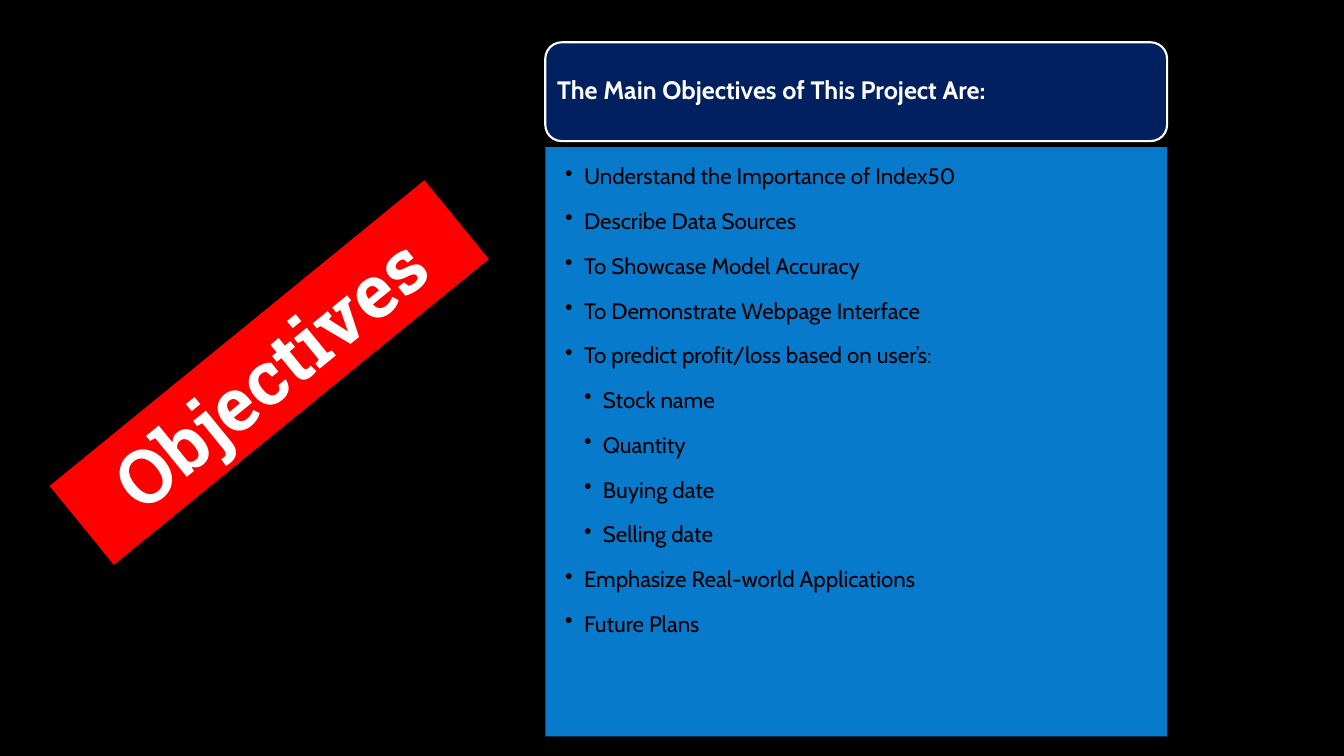
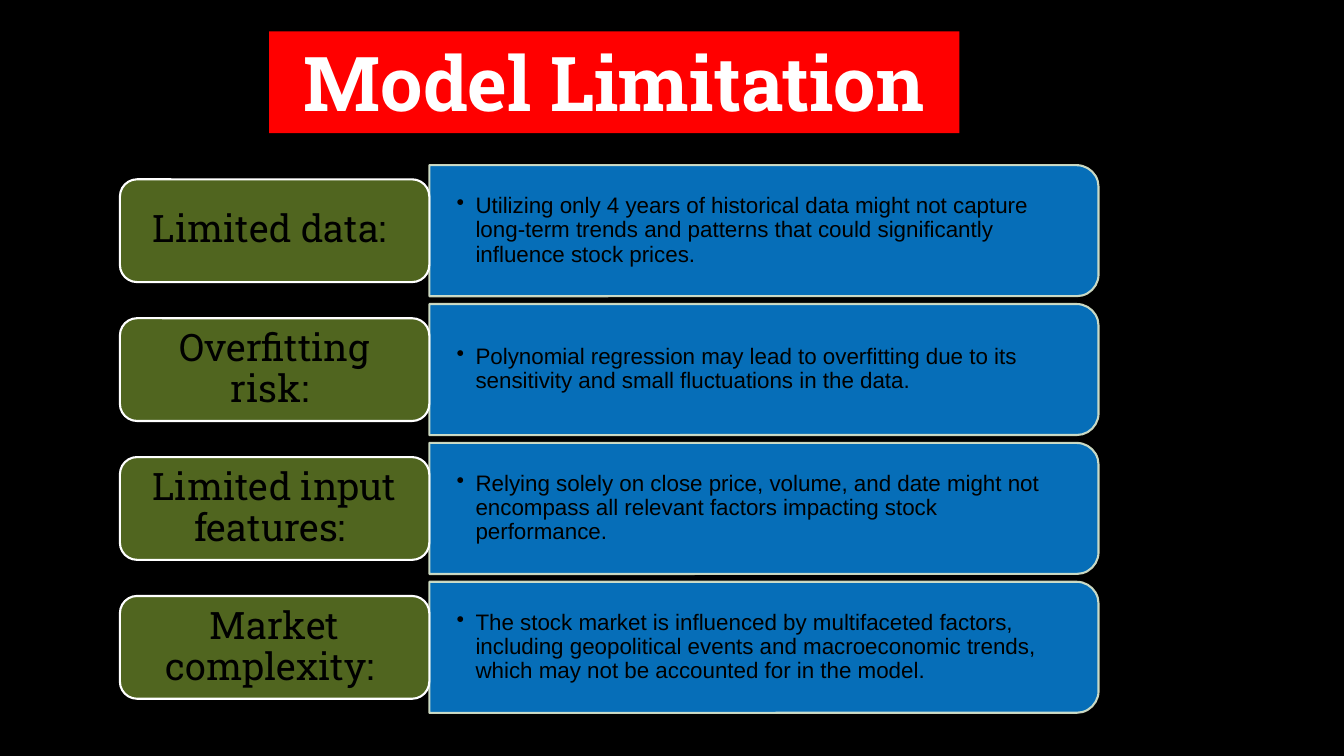
from lxml import etree
from pptx import Presentation
from pptx.dml.color import RGBColor
from pptx.enum.shapes import MSO_SHAPE
from pptx.enum.text import MSO_ANCHOR, MSO_AUTO_SIZE, PP_ALIGN
from pptx.oxml.ns import qn
from pptx.util import Pt

RECT = MSO_SHAPE.RECTANGLE
ROUNDED = MSO_SHAPE.ROUNDED_RECTANGLE
ROUND_TOP = MSO_SHAPE.ROUND_2_SAME_RECTANGLE
TOP, MIDDLE = MSO_ANCHOR.TOP, MSO_ANCHOR.MIDDLE
LEFT, CENTER = PP_ALIGN.LEFT, PP_ALIGN.CENTER
NO_FIT = MSO_AUTO_SIZE.NONE

COLORS = {
    "black": "000000",
    "white": "FFFFFF",
    "red": "FF0000",
    "navy": "002060",
    "blue": "077ACC",
    "olive": "50651F",
    "pale": "DFEACF",
}
TITLE_FONT, LIST_FONT, CARD_FONT = "Roboto Slab", "Cabin", "Arial"
TITLE_HEIGHT = 72.7
BULLET_INDENT = 13.5

OBJECTIVES = [
    (0, "Understand the Importance of Index50"),
    (0, "Describe Data Sources"),
    (0, "To Showcase Model Accuracy"),
    (0, "To Demonstrate Webpage Interface"),
    (0, "To predict profit/loss based on user’s:"),
    (1, "Stock name"),
    (1, "Quantity"),
    (1, "Buying date"),
    (1, "Selling date"),
    (0, "Emphasize Real-world Applications"),
    (0, "Future Plans"),
]
LIMITATIONS = [
    ("Limited data: ",
     "Utilizing only 4 years of historical data might not capture long-term "
     "trends and patterns that could significantly influence stock prices."),
    ("Overfitting risk: ",
     "Polynomial regression may lead to overfitting due to its sensitivity "
     "and small fluctuations in the data."),
    ("Limited input features: ",
     "Relying solely on close price, volume, and date might not encompass all "
     "relevant factors impacting stock performance."),
    ("Market complexity: ",
     "The stock market is influenced by multifaceted factors, including "
     "geopolitical events and macroeconomic trends, which may not be "
     "accounted for in the model."),
]


def rgb(name):
    return RGBColor.from_string(COLORS[name])


def set_frame(tf, anchor, insets):
    """Set wrapping, anchor and the (horizontal, vertical) insets in points."""
    tf.word_wrap = True
    tf.auto_size = NO_FIT
    tf.vertical_anchor = anchor
    tf.margin_left = tf.margin_right = Pt(insets[0])
    tf.margin_top = tf.margin_bottom = Pt(insets[1])


def set_text(p, text, font, size, color, bold=False, align=LEFT, spacing=0.9):
    p.text = text
    p.alignment = align
    p.line_spacing = spacing
    for r in p.runs:
        r.font.name = font
        r.font.size = Pt(size)
        r.font.bold = bold
        r.font.color.rgb = rgb(color)


def add_bullet(p, level):
    p.level = level
    pPr = p._p.get_or_add_pPr()
    pPr.set("marL", str(Pt(BULLET_INDENT * (level + 1))))
    pPr.set("indent", str(-Pt(BULLET_INDENT)))
    etree.SubElement(pPr, qn("a:buChar")).set("char", "•")


def add_box(s, kind, box, fill, line=None):
    sp = s.shapes.add_shape(kind, *map(Pt, box))
    sp.shadow.inherit = False
    sp.fill.solid()
    sp.fill.fore_color.rgb = rgb(fill)
    if line:
        sp.line.color.rgb = rgb(line)
        sp.line.width = Pt(1.5)
    else:
        sp.line.fill.background()
    return sp


def add_titled_slide(prs, title, left, top, width, rotation=0):
    s = prs.slides.add_slide(prs.slide_layouts[5])
    sp = s.shapes.title
    sp.left, sp.top, sp.width, sp.height = map(Pt, (left, top, width, TITLE_HEIGHT))
    sp.rotation = rotation
    sp.fill.solid()
    sp.fill.fore_color.rgb = rgb("red")
    set_frame(sp.text_frame, TOP, (7.2, 3.6))
    set_text(sp.text_frame.paragraphs[0], title, TITLE_FONT, 54, "white",
             bold=True, align=CENTER, spacing=1.0)
    return s


def add_label(s, box, fill, insets, text, *style, **options):
    """Add a white-edged rounded box with one line of styled text."""
    sp = add_box(s, ROUNDED, box, fill, "white")
    set_frame(sp.text_frame, MIDDLE, insets)
    set_text(sp.text_frame.paragraphs[0], text, *style, **options)


def add_objective_list(s, box, items):
    tf = add_box(s, RECT, box, "blue").text_frame
    set_frame(tf, TOP, (14.2, 1.4))
    tf.margin_right = Pt(8.5)
    for i, (level, text) in enumerate(items):
        p = tf.add_paragraph() if i else tf.paragraphs[0]
        add_bullet(p, level)
        set_text(p, text, LIST_FONT, 16, "black", spacing=1.5)
        p.space_after = Pt(3.2)


def add_card(s, left, middle, width, height, text):
    """Add a translucent card, rounded on its right side, with a bullet."""
    turned = (left + (width - height) / 2, middle - width / 2, height, width)
    sp = add_box(s, ROUND_TOP, turned, "blue", "pale")
    sp.rotation = 90
    for color in sp._element.spPr.iter(qn("a:srgbClr")):
        etree.SubElement(color, qn("a:alpha")).set("val", "90000")
    text_box = (left, middle - 42, width - 4.5, 84)
    tf = s.shapes.add_textbox(*map(Pt, text_box)).text_frame
    set_frame(tf, MIDDLE, (19.5, 10))
    p = tf.paragraphs[0]
    add_bullet(p, 0)
    set_text(p, text, CARD_FONT, 16, "black")


def build_objectives(prs):
    s = add_titled_slide(prs, "Objectives", 19.5, 229.7, 345.6, rotation=320.8)
    left, width = 389.5, 444.2
    add_label(s, (left, 30.2, width, 70.6), "navy", (5, 5),
              "The Main Objectives of This Project Are:",
              LIST_FONT, 18, "white", bold=True)
    add_objective_list(s, (left, 105.1, width, 421), OBJECTIVES)


def build_limitations(prs):
    s = add_titled_slide(prs, "Model Limitation", 192.2, 22.4, 493.2)
    label_left, label_width, label_height = 85.7, 221, 73.4
    first_middle, pitch = 164.8, 99.2
    for i, (label, text) in enumerate(LIMITATIONS):
        middle = first_middle + i * pitch
        add_card(s, label_left + label_width, middle, 478, 93.6, text)
        box = (label_left, middle - label_height / 2, label_width, label_height)
        add_label(s, box, "olive", (8, 4), label,
                  TITLE_FONT, 27, "black", align=CENTER)


def main():
    prs = Presentation()
    prs.slide_width, prs.slide_height = Pt(960), Pt(540)
    background = prs.slide_master.background.fill
    background.solid()
    background.fore_color.rgb = rgb("black")
    build_objectives(prs)
    build_limitations(prs)
    prs.save("out.pptx")


if __name__ == "__main__":
    main()
